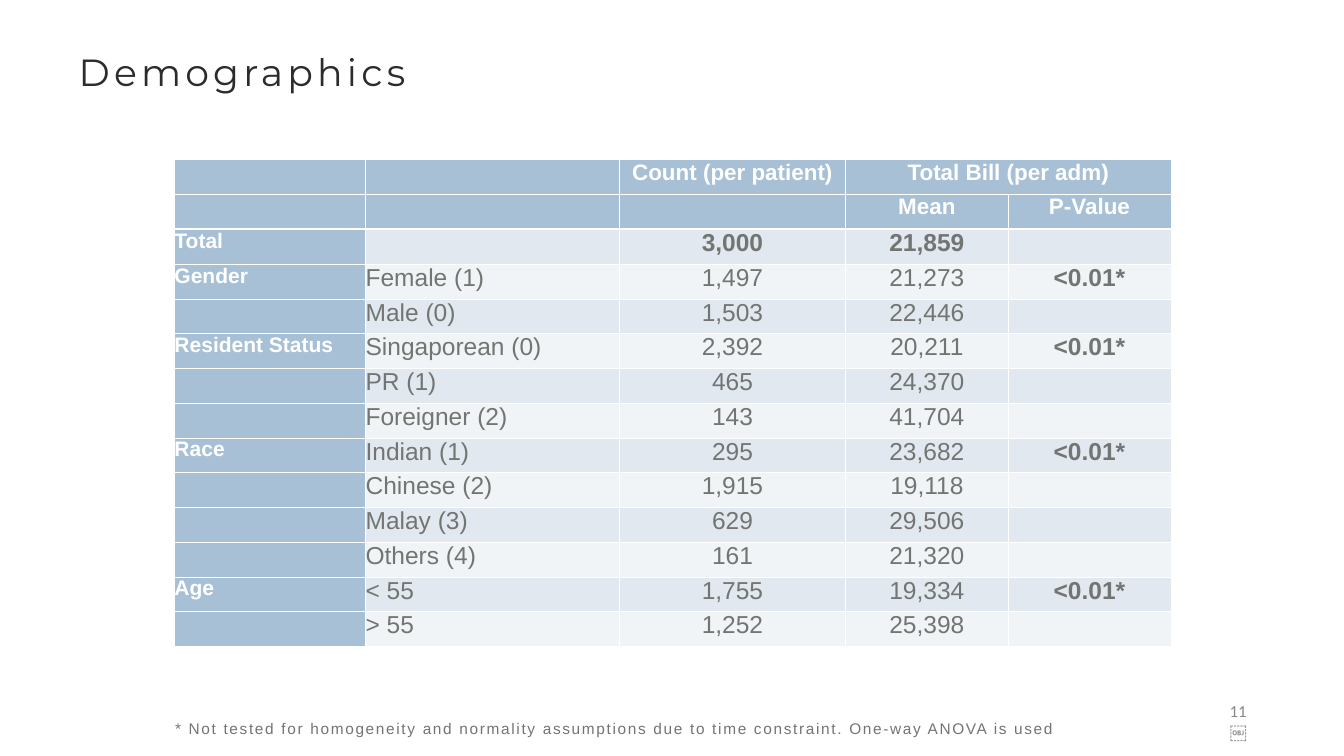
from lxml import etree
from pptx import Presentation
from pptx import util as u
from pptx.dml.color import RGBColor
from pptx.enum import text
from pptx.oxml import ns

SCALE = 9144  # EMU per px, 100 px to the inch
COLORS = {
    "title": "2B2C2B", "body": "737572", "number": "888888", "white": "FFFFFF",
    "header": "A7C0D5", "band_dark": "E1E8EF", "band_light": "F0F4F7",
}
LEFT, CENTER, RIGHT = text.PP_ALIGN.LEFT, text.PP_ALIGN.CENTER, text.PP_ALIGN.RIGHT

COLUMN_WIDTHS = [379, 503, 449, 322, 323]
ROW_HEIGHT = 69
HEADER_ROWS = 2
ROWS = [
    ("", "", "Count (per patient)", "Total Bill (per adm)", ""),
    ("", "", "", "Mean", "P-Value"),
    ("Total", "", "3,000", "21,859", ""),
    ("Gender", "Female (1)", "1,497", "21,273", "<0.01*"),
    ("", "Male (0)", "1,503", "22,446", ""),
    ("Resident Status", "Singaporean (0)", "2,392", "20,211", "<0.01*"),
    ("", "PR (1)", "465", "24,370", ""),
    ("", "Foreigner (2)", "143", "41,704", ""),
    ("Race", "Indian (1)", "295", "23,682", "<0.01*"),
    ("", "Chinese (2)", "1,915", "19,118", ""),
    ("", "Malay (3)", "629", "29,506", ""),
    ("", "Others (4)", "161", "21,320", ""),
    ("Age", "< 55", "1,755", "19,334", "<0.01*"),
    ("", "> 55", "1,252", "25,398", ""),
]


def px(length):
    return u.Emu(length * SCALE)


def color(name):
    return RGBColor.from_string(COLORS[name])


def add_span(para, words, size, font, tone, bold=False, spacing=0):
    span = para.add_run()
    span.text = words
    span.font.size = u.Pt(size)
    span.font.name = font
    span.font.bold = bold
    span.font.color.rgb = color(tone)
    if spacing:  # hundredths of a point
        span.font._element.set("spc", str(spacing))


def set_frame(frame, inset, anchor=text.MSO_ANCHOR.TOP):
    frame.word_wrap = True
    frame.auto_size = text.MSO_AUTO_SIZE.NONE
    frame.vertical_anchor = anchor
    frame.margin_left = frame.margin_right = px(inset)
    frame.margin_top = frame.margin_bottom = px(inset)


def add_title(page, words):
    box = page.shapes.title
    box.left, box.top, box.width, box.height = px(151), px(92), px(749), px(251)
    set_frame(box.text_frame, 5)
    para = box.text_frame.paragraphs[0]
    para.alignment = LEFT
    add_span(para, words, 54, "Montserrat", "title", spacing=600)


def add_box(page, left, top, width, height, inset, anchor):
    box = page.shapes.add_textbox(px(left), px(top), px(width), px(height))
    set_frame(box.text_frame, inset, anchor)
    return box.text_frame.paragraphs[0]


def set_border(cell, side, width):
    line = etree.SubElement(cell._tc.get_or_add_tcPr(), ns.qn(f"a:ln{side}"),
                            w=str(u.Pt(width)))
    fill = etree.SubElement(line, ns.qn("a:solidFill"))
    etree.SubElement(fill, ns.qn("a:srgbClr"), val=COLORS["white"])


def format_cell(cell, words, row, column):
    # Borders are thicker under the header rows
    for side in "LRTB":
        thick = (side, row) in (("B", HEADER_ROWS - 1), ("T", HEADER_ROWS))
        set_border(cell, side, 3 if thick else 1)

    in_header = row < HEADER_ROWS or column == 0
    band = "band_light" if row % 2 else "band_dark"
    cell.fill.solid()
    cell.fill.fore_color.rgb = color("header" if in_header else band)
    if not words:
        return

    cell.margin_left = cell.margin_right = cell.margin_top = cell.margin_bottom = 0
    size = 32 if row < HEADER_ROWS else 30 if column == 0 else 35
    bold = in_header or row == HEADER_ROWS or column == 4
    para = cell.text_frame.paragraphs[0]
    para.alignment = CENTER if column > 1 else LEFT
    add_span(para, words, size, "Arial", "white" if in_header else "body", bold)


def add_demographics(page):
    table = page.shapes.add_table(
        len(ROWS), len(COLUMN_WIDTHS), px(346), px(317),
        px(sum(COLUMN_WIDTHS)), px(ROW_HEIGHT * len(ROWS))).table
    table.first_row = table.horz_banding = False
    for column, width in zip(table.columns, COLUMN_WIDTHS):
        column.width = px(width)
    for row, values in enumerate(ROWS):
        table.rows[row].height = px(ROW_HEIGHT)
        for column, words in enumerate(values):
            format_cell(table.cell(row, column), words, row, column)
    table.cell(0, 3).merge(table.cell(0, 4))


def main():
    deck = Presentation()
    deck.slide_width, deck.slide_height = px(2665), px(1500)
    page = deck.slides.add_slide(deck.slide_layouts[5])

    add_title(page, "Demographics")
    add_demographics(page)

    # Footnote
    para = add_box(page, 342, 1403, 1931, 61, 5, text.MSO_ANCHOR.TOP)
    para.line_spacing = u.Pt(40)
    add_span(para, "* Not tested for homogeneity and normality assumptions due to "
             "time constraint. One-way ANOVA is used", 22, "Arial", "body", spacing=240)

    # Slide number
    para = add_box(page, 2426, 1401, 56, 60, 10, text.MSO_ANCHOR.MIDDLE)
    para.alignment = RIGHT
    add_span(para, "11￼", 24, "Calibri", "number")

    deck.save("out.pptx")


if __name__ == "__main__":
    main()
